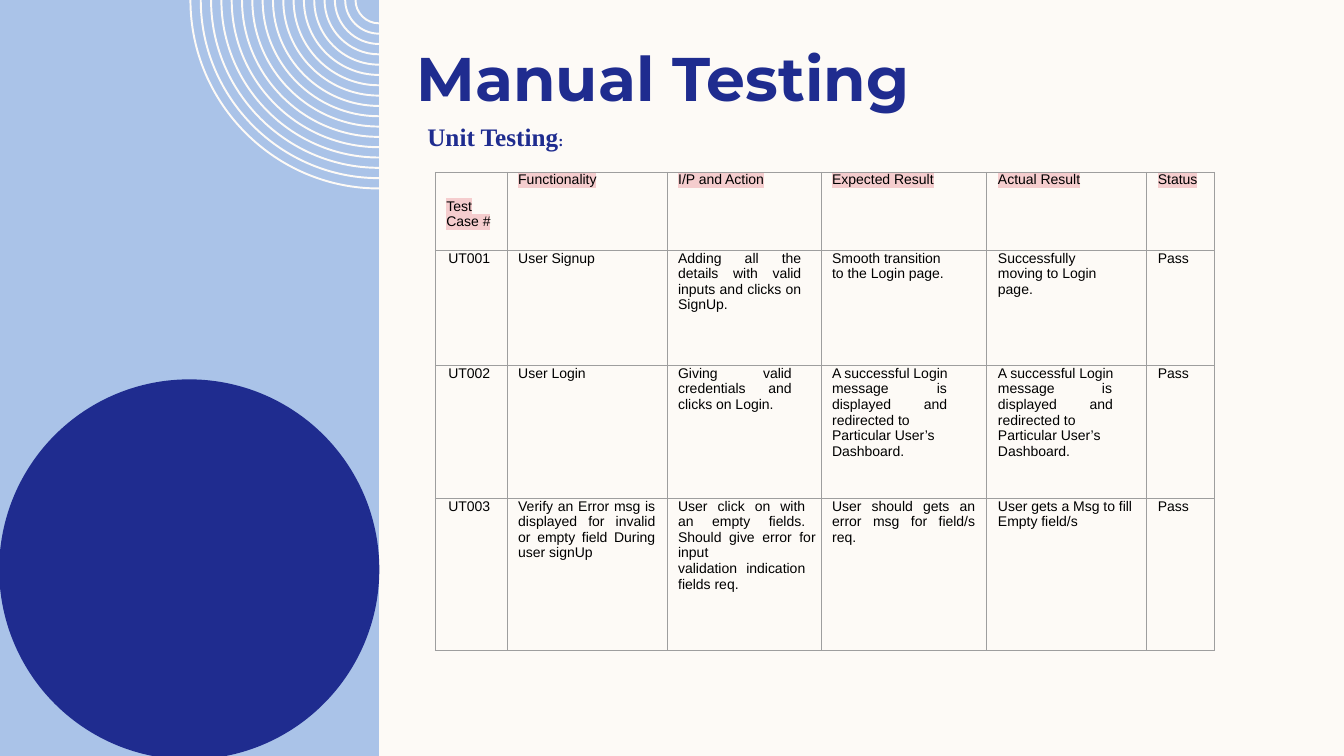
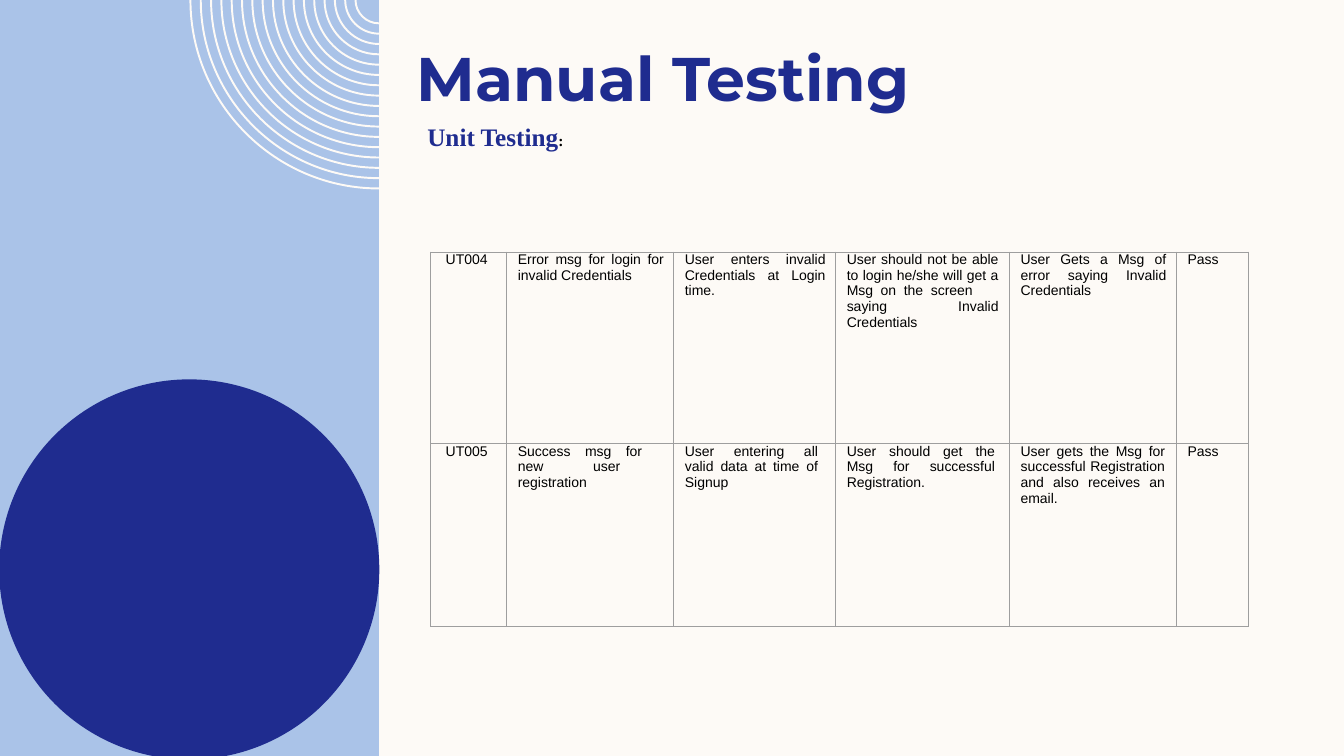
from dataclasses import dataclass

import pptx
import pptx.dml.color
import pptx.enum.shapes
import pptx.enum.text
import pptx.oxml.ns
import pptx.shapes.autoshape
import pptx.slide
import pptx.table
import pptx.text.text
import pptx.util
from lxml import etree

Cm = pptx.util.Cm
Pt = pptx.util.Pt
RGB = pptx.dml.color.RGBColor
ALIGN = pptx.enum.text.PP_ALIGN
SHAPE = pptx.enum.shapes.MSO_SHAPE
qn = pptx.oxml.ns.qn

CREAM = RGB(0xFD, 0xFA, 0xF6)
SKY = RGB(0xAA, 0xC3, 0xE8)
NAVY = RGB(0x1F, 0x2C, 0x8F)
BLACK = RGB(0, 0, 0)
GREY = RGB(0x9E, 0x9E, 0x9E)
PINK = RGB(0xF5, 0xCD, 0xCE)

PANEL_WIDTH = 9.55
RING_COUNT = 17
RING_RADIUS = 4.75
RING_STEP = 0.26
CURVE_HANDLE = 0.55  # handle length of a quarter circle, as a share of its radius


@dataclass(frozen=True)
class Para:
    text: str
    tab: float | None = None


@dataclass(frozen=True)
class Cell:
    """Contents of a table cell; left, right and top are its indents in cm."""
    paras: tuple[Para, ...]
    align: ALIGN = ALIGN.LEFT
    left: float = 0.28
    right: float = 0.0
    top: float = 0.0
    highlight: bool = False


@dataclass(frozen=True)
class TestTable:
    left: float
    top: float
    widths: tuple[float, ...]
    heights: tuple[float, ...]
    rows: tuple[tuple[Cell, ...], ...]
    colon_color: RGB


def plain(text: str, right: float = 0.0) -> Cell:
    return Cell((Para(text),), right=right)


def justified(text: str, right: float, tab: float | None = None, *more: Para) -> Cell:
    return Cell((Para(text, tab), *more), ALIGN.JUSTIFY, right=right)


def header(text: str, top: float = 0.0) -> Cell:
    return Cell((Para(text),), top=top, highlight=True)


def case(number: str, *cells: Cell) -> tuple[Cell, ...]:
    """Row of a test case that passed."""
    return (Cell((Para(number),), ALIGN.CENTER, 0.2, 0.3), *cells, plain("Pass"))


def login_message(tab: float, right: float) -> Cell:
    return Cell((Para("A successful Login message\tis", tab),
                 Para("displayed\tand redirected to Particular User’s Dashboard.", 2.31)),
                right=right)


TABLES = (
    TestTable(
        10.97, 4.34, (1.81, 4.03, 3.88, 4.18, 4.03, 1.71), (1.97, 2.9, 3.35, 3.83),
        (
            (header("Test Case #", top=0.66), header("Functionality"),
             header("I/P and Action"), header("Expected Result"),
             header("Actual Result"), header("Status")),
            case("UT001", plain("User Signup"),
                 justified("Adding all the details with valid inputs and clicks on SignUp.", 0.5),
                 plain("Smooth transition to the Login page.", 1),
                 plain("Successfully moving to Login page.", 1)),
            case("UT002", plain("User Login"),
                 justified("Giving valid credentials and clicks on Login.", 0.74),
                 login_message(2.64, 0.9), login_message(2.62, 0.75)),
            case("UT003",
                 justified("Verify an Error msg is displayed for invalid or empty field "
                           "During user signUp", 0.3),
                 justified("User click on with an empty fields. Should give error for\tinput",
                           0.4, 2.06, Para("validation indication fields req.")),
                 justified("User should gets an error msg for field/s req.", 0.3),
                 plain("User gets a Msg to fill Empty field/s")),
        ),
        NAVY,
    ),
    TestTable(
        10.85, 6.35, (1.92, 4.21, 4.08, 4.38, 4.21, 1.81), (4.83, 4.61),
        (
            case("UT004",
                 justified("Error msg for login for\tinvalid Credentials", 0.26, 2.01),
                 justified("User enters invalid Credentials at Login time.", 0.26),
                 justified("User should not be able to login he/she will get a Msg on the "
                           "screen\tsaying Invalid Credentials", 0.28, 2.26),
                 justified("User Gets a Msg of error saying Invalid Credentials", 0.26)),
            case("UT005",
                 justified("Success msg for new\tuser registration", 0.8, 1.9),
                 justified("User entering all valid data at time of Signup", 0.45),
                 justified("User should get the Msg for successful Registration.", 0.37),
                 justified("User gets the Msg for\tsuccessful Registration and also "
                           "receives an email.", 0.3, 1.57)),
        ),
        BLACK,
    ),
)


def add_run(p: pptx.text.text._Paragraph, text: str, font: str, size: float,
            color: RGB, bold: bool = False, highlight: bool = False) -> None:
    r = p.add_run()
    r.text = text
    r.font.size = Pt(size)
    r.font.bold = bold
    r.font.color.rgb = color
    if highlight:
        mark = etree.SubElement(r._r.get_or_add_rPr(), qn("a:highlight"))
        etree.SubElement(mark, qn("a:srgbClr"), val=str(PINK))
    r.font.name = font


def paint(sp: pptx.shapes.autoshape.Shape, color: RGB) -> None:
    sp.shadow.inherit = False
    sp.fill.solid()
    sp.fill.fore_color.rgb = color
    sp.line.fill.background()


def bend_segments(sp: pptx.shapes.autoshape.Shape) -> None:
    """Turn every three line segments of a freeform into one cubic curve."""
    segments = list(sp.element.iter(qn("a:lnTo")))
    for i in range(0, len(segments), 3):
        curve = etree.Element(qn("a:cubicBezTo"))
        segments[i].addprevious(curve)
        for segment in segments[i:i + 3]:
            curve.append(segment[0])
            segment.getparent().remove(segment)


def add_rings(s: pptx.slide.Slide) -> pptx.shapes.autoshape.Shape:
    """Quarter circles about the top right corner of the panel."""
    builder = s.shapes.build_freeform(Cm(PANEL_WIDTH - RING_RADIUS), 0)
    for i in range(RING_COUNT):
        radius = RING_RADIUS - i * RING_STEP
        handle = CURVE_HANDLE * radius
        left = Cm(PANEL_WIDTH - radius)
        if i:
            builder.move_to(left, 0)
        builder.add_line_segments(
            [(left, Cm(handle)), (Cm(PANEL_WIDTH - handle), Cm(radius)),
             (Cm(PANEL_WIDTH), Cm(radius))], close=False)
    sp = builder.convert_to_shape()
    bend_segments(sp)
    sp.shadow.inherit = False
    sp.fill.background()
    sp.line.color.rgb = CREAM
    sp.line.width = Pt(1.4)
    return sp


def decorate_layout(layout: pptx.slide.SlideLayout, s: pptx.slide.Slide) -> None:
    """Draw the side panel on a slide and move it to the layout all slides share."""
    for ph in list(layout.placeholders):
        if ph.placeholder_format.type != pptx.enum.shapes.PP_PLACEHOLDER.TITLE:
            ph.element.getparent().remove(ph.element)
    layout.background.fill.solid()
    layout.background.fill.fore_color.rgb = CREAM
    panel = s.shapes.add_shape(SHAPE.RECTANGLE, 0, 0, Cm(PANEL_WIDTH), Cm(19.05))
    paint(panel, SKY)
    rings = add_rings(s)
    disc = s.shapes.add_shape(SHAPE.OVAL, Cm(-0.02), Cm(9.56), Cm(9.58), Cm(9.58))
    paint(disc, NAVY)
    for sp in (panel, rings, disc):
        layout.shapes.element.append(sp.element)


def add_headings(s: pptx.slide.Slide, colon_color: RGB) -> None:
    title = s.shapes.title
    title.left, title.top, title.width, title.height = Cm(10.24), Cm(0.89), Cm(22.68), Cm(2.13)
    tf = title.text_frame
    tf.vertical_anchor = pptx.enum.text.MSO_ANCHOR.TOP
    tf.auto_size = pptx.enum.text.MSO_AUTO_SIZE.NONE
    tf.paragraphs[0].alignment = ALIGN.LEFT
    add_run(tf.paragraphs[0], "Manual Testing", "Montserrat", 44, NAVY, bold=True)

    tf = s.shapes.add_textbox(Cm(10.77), Cm(3.07), Cm(6), Cm(0.8)).text_frame
    tf.word_wrap = True
    tf.margin_left = tf.margin_top = tf.margin_right = tf.margin_bottom = 0
    add_run(tf.paragraphs[0], "Unit Testing", "Times New Roman", 18, NAVY, bold=True)
    add_run(tf.paragraphs[0], ":", "Times New Roman", 11, colon_color, bold=True)


def add_borders(cell: pptx.table._Cell) -> None:
    tc_pr = cell._tc.get_or_add_tcPr()
    for i, side in enumerate(("lnL", "lnR", "lnT", "lnB")):
        ln = etree.Element(qn(f"a:{side}"), w=str(Pt(0.75)))
        fill = etree.SubElement(ln, qn("a:solidFill"))
        etree.SubElement(fill, qn("a:srgbClr"), val=str(GREY))
        tc_pr.insert(i, ln)


def fill_cell(cell: pptx.table._Cell, content: Cell) -> None:
    cell.margin_left = cell.margin_right = cell.margin_bottom = 0
    cell.margin_top = Cm(content.top)
    cell.fill.background()
    add_borders(cell)
    tf = cell.text_frame
    for i, para in enumerate(content.paras):
        p = tf.add_paragraph() if i else tf.paragraphs[0]
        p.alignment = content.align
        p.space_before = Pt(0 if i or content.top else 7.5)
        p_pr = p._p.get_or_add_pPr()
        p_pr.set("marL", str(Cm(content.left)))
        p_pr.set("marR", str(Cm(content.right)))
        if para.tab is not None:
            tabs = etree.SubElement(p_pr, qn("a:tabLst"))
            etree.SubElement(tabs, qn("a:tab"), pos=str(Cm(para.tab)), algn="l")
        add_run(p, para.text, "Arial", 10, BLACK, highlight=content.highlight)


def add_test_table(s: pptx.slide.Slide, test_table: TestTable) -> None:
    widths, heights = test_table.widths, test_table.heights
    table = s.shapes.add_table(
        len(heights), len(widths), Cm(test_table.left), Cm(test_table.top),
        Cm(sum(widths)), Cm(sum(heights))).table
    table.first_row = table.horz_banding = False
    for column, width in zip(table.columns, widths):
        column.width = Cm(width)
    for row, height, contents in zip(table.rows, heights, test_table.rows):
        row.height = Cm(height)
        for cell, content in zip(row.cells, contents):
            fill_cell(cell, content)


def main() -> None:
    prs = pptx.Presentation()
    prs.slide_width, prs.slide_height = Cm(33.87), Cm(19.05)
    layout = prs.slide_layouts.get_by_name("Title Only")
    slides = [prs.slides.add_slide(layout) for _ in TABLES]
    decorate_layout(layout, slides[0])
    for s, test_table in zip(slides, TABLES):
        add_headings(s, test_table.colon_color)
        add_test_table(s, test_table)
    prs.save("out.pptx")


if __name__ == "__main__":
    main()
